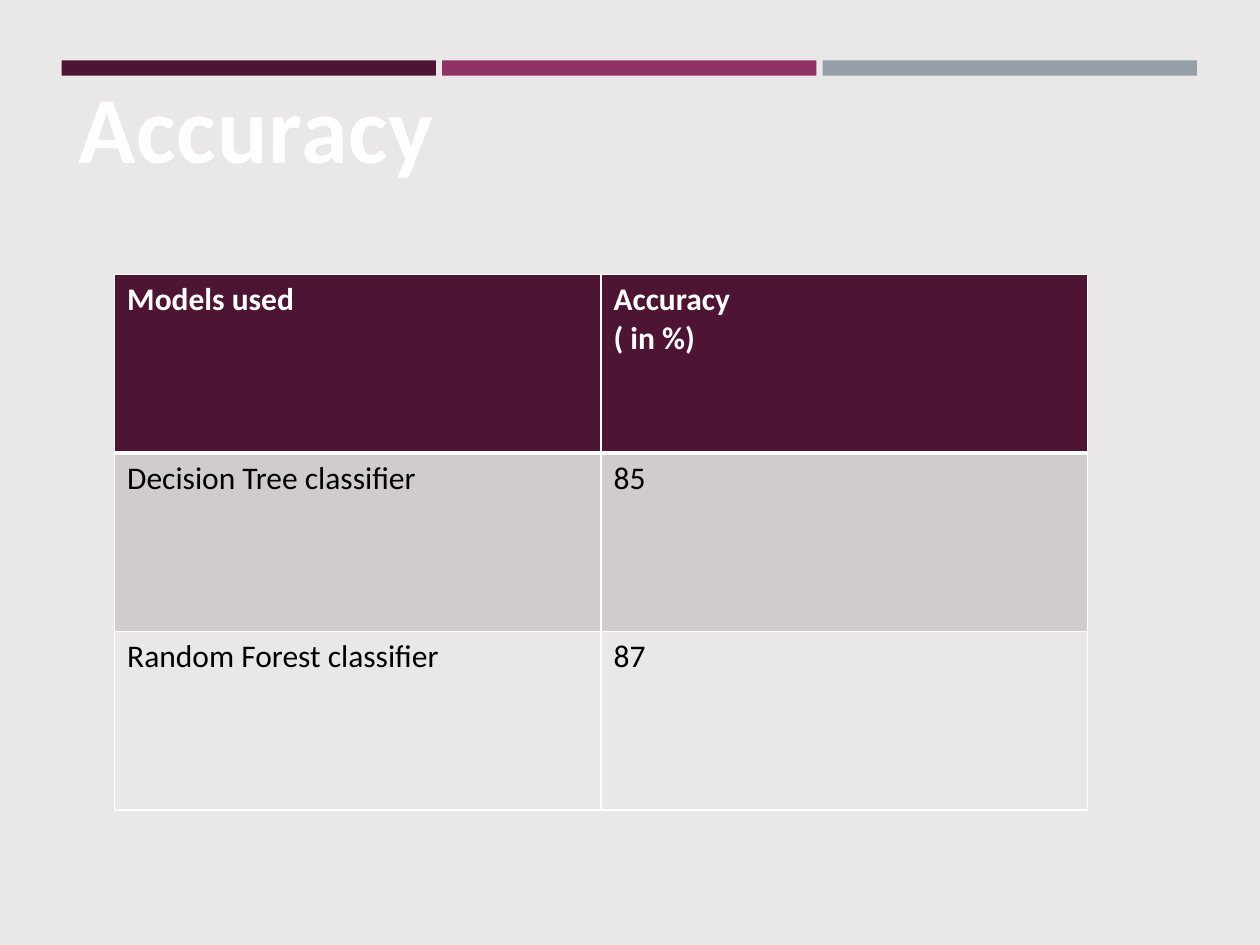
from lxml import etree
from pptx import Presentation
from pptx.dml.color import RGBColor
from pptx.enum.shapes import MSO_SHAPE
from pptx.enum.text import MSO_ANCHOR, MSO_AUTO_SIZE, PP_ALIGN
from pptx.oxml import parse_xml
from pptx.util import Inches, Pt

RECT = MSO_SHAPE.RECTANGLE
TOP = MSO_ANCHOR.TOP
GROW = MSO_AUTO_SIZE.SHAPE_TO_FIT_TEXT
CENTER = PP_ALIGN.CENTER
NS = "http://schemas.openxmlformats.org/drawingml/2006/main"

TITLE = "Accuracy"
ROWS = [
    ("Models used", "Accuracy\n( in %)"),
    ("Decision Tree classifier", "85"),
    ("Random Forest classifier", "87"),
]
COLORS = {
    "back": "E9E7E8", "plum": "4D1434", "rose": "903163", "slate": "969FA7",
    "band": "D0CCCE", "white": "FFFFFF", "title": "FEFEFE", "black": "000000",
}
BARS = ["plum", "rose", "slate"]
FILLS = ["plum", "band", "back"]
FONT = "Calibri"

WIDTH, HEIGHT = 10, 7.5
BAR_LEFT, BAR_TOP, BAR_W, BAR_H, BAR_GAP = 0.49, 0.48, 2.97, 0.12, 0.05
TABLE = (0.91, 2.18, 7.72, 4.25)


def rgb(name):
    return RGBColor.from_string(COLORS[name])


def style(run, size, color, bold):
    font = run.font
    font.name, font.size, font.bold = FONT, Pt(size), bold
    font.color.rgb = rgb(color)


def line_xml(tag, color, width):
    return parse_xml(
        f'<a:{tag} xmlns:a="{NS}" w="{Pt(width)}"><a:solidFill>'
        f'<a:srgbClr val="{COLORS[color]}"/></a:solidFill></a:{tag}>')


def add_bars(slide):
    for i, color in enumerate(BARS):
        left = BAR_LEFT + i * (BAR_W + BAR_GAP)
        bar = slide.shapes.add_shape(
            RECT, *map(Inches, (left, BAR_TOP, BAR_W, BAR_H)))
        bar.shadow.inherit = False
        bar.fill.solid()
        bar.fill.fore_color.rgb = rgb(color)
        bar.line.fill.background()


def add_title(slide):
    title = slide.shapes.title
    title.left, title.top, title.width, title.height = map(
        Inches, (0.2, 0.5, 3.67, 1.01))
    frame = title.text_frame
    frame.text = TITLE
    frame.word_wrap, frame.auto_size = False, GROW
    frame.vertical_anchor = TOP
    para = frame.paragraphs[0]
    para.alignment = CENTER
    run = para.runs[0]
    style(run, 54, "title", True)
    props = run.font._element
    props.set("spc", "50")
    props.insert(0, line_xml("ln", "plum", 0.75))
    glow = etree.Element(f"{{{NS}}}effectLst")
    shade = etree.SubElement(glow, f"{{{NS}}}outerShdw", blurRad="38100",
                             dist="38100", dir="2700000", algn="tl")
    tint = etree.SubElement(shade, f"{{{NS}}}srgbClr", val=COLORS["plum"])
    etree.SubElement(tint, f"{{{NS}}}alpha", val="40000")
    props.insert(2, glow)


def add_grid(slide):
    shape = slide.shapes.add_table(
        len(ROWS), len(ROWS[0]), *map(Inches, TABLE))
    table = shape.table
    for r, row in enumerate(ROWS):
        head = r == 0
        for c, text in enumerate(row):
            cell = table.cell(r, c)
            cell.text = text
            cell.fill.solid()
            cell.fill.fore_color.rgb = rgb(FILLS[r])
            for para in cell.text_frame.paragraphs:
                style(para.runs[0], 18, "white" if head else "black", head)
            # The rule between the header and the body is thicker.
            sides = {"lnL": 1, "lnR": 1, "lnT": 3 if r == 1 else 1,
                     "lnB": 3 if head else 1}
            props = cell._tc.get_or_add_tcPr()
            for i, (tag, width) in enumerate(sides.items()):
                props.insert(i, line_xml(tag, "white", width))


def main():
    deck = Presentation()
    deck.slide_width, deck.slide_height = Inches(WIDTH), Inches(HEIGHT)
    slide = deck.slides.add_slide(deck.slide_layouts[5])
    back = slide.background.fill
    back.solid()
    back.fore_color.rgb = rgb("back")
    add_bars(slide)
    add_title(slide)
    add_grid(slide)
    deck.save("out.pptx")


if __name__ == "__main__":
    main()
